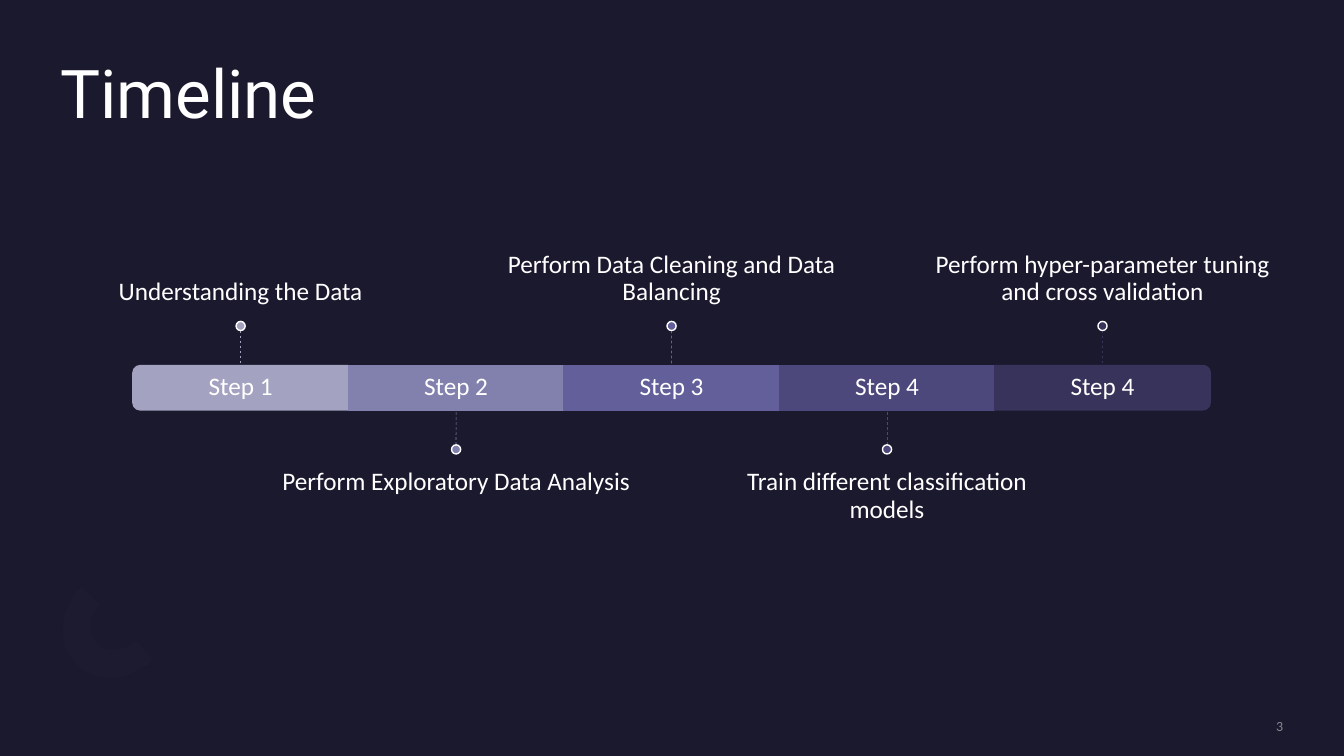
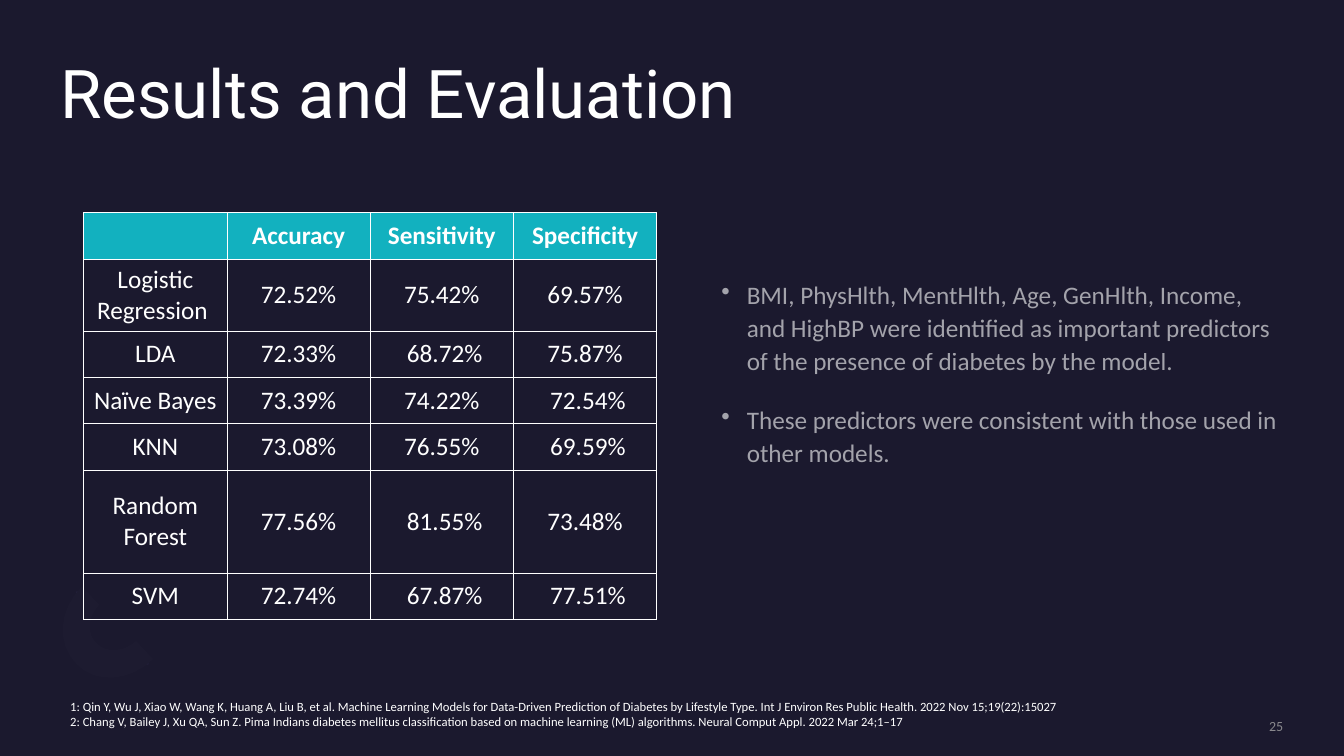
from dataclasses import dataclass
from typing import Any, NamedTuple

from lxml.etree import SubElement
from pptx import Presentation
from pptx.dml.color import RGBColor
from pptx.enum.dml import MSO_LINE
from pptx.enum.shapes import MSO_CONNECTOR, MSO_SHAPE
from pptx.enum.text import MSO_ANCHOR as Anchor, MSO_AUTO_SIZE, PP_ALIGN as Align
from pptx.oxml.ns import qn
from pptx.util import Cm, Pt


@dataclass(frozen=True)
class Theme:
    background: str = "1B192E"
    white: str = "FFFFFF"
    page_number: str = "A6A6A6"
    table_header: str = "12B1BF"
    ellipse: str = "2C284A"
    arc: str = "1D1B30"
    title_font: str = "Roboto"
    body_font: str = "Calibri"
    title_size: float = 48
    body_size: float = 18
    note_size: float = 9
    page_size: float = 10


THEME = Theme()


class Box(NamedTuple):
    """A rectangle in centimetres."""
    left: float
    top: float
    width: float
    height: float

    def lengths(self) -> list[Cm]:
        return [Cm(value) for value in self]


class TextStyle(NamedTuple):
    size: float = THEME.body_size
    font: str = THEME.body_font
    color: str = THEME.white
    opacity: int = 100
    bold: bool = False


class Step(NamedTuple):
    label: str
    caption: str
    color: str


class Row(NamedTuple):
    height: float
    cells: tuple[str, ...]


TITLE_BOX = Box(1.52, 1.52, 30.8, 3.7)
PAGE_BOX = Box(27.64, 18.08, 4.7, 0.43)
NOTE_BOX = Box(1.52, 17.48, 30.48, 1.02)
FINDINGS_BOX = Box(17.93, 6.83, 14.68, 5.6)
ELLIPSES = (Box(3.43, 16.18, 0.15, 0.66), Box(2.08, 14.81, 0.15, 0.66))
# Each side of the arc is a run of cubic curves: start, then two handles and an end per curve.
ARC_OUTER = ((3.86, 16.61), (3.3, 17.17), (2.41, 17.25), (1.93, 16.74),
             (1.42, 16.23), (1.47, 15.37), (2.06, 14.78))
ARC_INNER = ((2.51, 15.24), (2.21, 15.52), (2.18, 15.98), (2.44, 16.21),
             (2.69, 16.46), (3.12, 16.43), (3.43, 16.15))

BAR = Box(3.35, 9.21, 5.43, 1.12)
DOT, STEM = 0.23, 0.88
CAPTION_WIDTH, CAPTION_HEIGHT, CAPTION_GAP = 9.07, 3.86, 0.38
STEPS = (
    Step("Step 1", "Understanding the Data", "A3A3C1"),
    Step("Step 2", "Perform Exploratory Data Analysis", "8281AE"),
    Step("Step 3", "Perform Data Cleaning and Data Balancing", "625F9A"),
    Step("Step 4", "Train different classification models", "4C487B"),
    Step("Step 4", "Perform hyper-parameter tuning and cross validation", "37335B"),
)

TABLE_LEFT, TABLE_TOP, COLUMN_WIDTH = 2.11, 5.36, 3.61
ROWS = (
    Row(1.17, ("", "Accuracy", "Sensitivity", "Specificity")),
    Row(1.81, ("Logistic Regression ", "72.52%", "75.42%", "69.57%")),
    Row(1.17, ("LDA", "72.33%", " 68.72%", "75.87%")),
    Row(1.17, ("Naïve Bayes", "73.39%", "74.22%", " 72.54%")),
    Row(1.17, ("KNN", "73.08%", "76.55%", " 69.59%")),
    Row(2.59, ("Random Forest", "77.56%", " 81.55%", "73.48%")),
    Row(1.17, ("SVM", "72.74%", " 67.87%", " 77.51%")),
)
FINDINGS = (
    "BMI, PhysHlth, MentHlth, Age, GenHlth, Income, and HighBP were identified as "
    "important predictors of the presence of diabetes by the model.",
    "These predictors were consistent with those used in other models.",
)
REFERENCES = (
    "1: Qin Y, Wu J, Xiao W, Wang K, Huang A, Liu B, et al. Machine Learning Models for "
    "Data-Driven Prediction of Diabetes by Lifestyle Type. Int J Environ Res Public Health. "
    "2022 Nov 15;19(22):15027",
    "2: Chang V, Bailey J, Xu QA, Sun Z. Pima Indians diabetes mellitus classification based on "
    "machine learning (ML) algorithms. Neural Comput Appl. 2022 Mar 24;1–17",
)

NO_MARGINS = dict.fromkeys(("margin_left", "margin_top", "margin_right", "margin_bottom"), 0)
CENTERED = {"alignment": Align.CENTER, "line_spacing": 0.9}
BULLETED = {"line_spacing": 1.1, "space_before": Pt(10), "space_after": Pt(8)}


def apply(target: Any, values: dict[str, Any]) -> None:
    for name, value in values.items():
        setattr(target, name, value)


def write(frame: Any, lines: tuple[str, ...], style: TextStyle,
          paragraph_format: dict[str, Any] | None = None) -> None:
    """Fill a text frame with one formatted paragraph per line."""
    for index, line in enumerate(lines):
        paragraph = frame.add_paragraph() if index else frame.paragraphs[0]
        apply(paragraph, paragraph_format or {})
        run = paragraph.add_run()
        run.text = line
        apply(run.font, {"size": Pt(style.size), "name": style.font, "bold": style.bold})
        run.font.color.rgb = RGBColor.from_string(style.color)
        if style.opacity < 100:
            color = run.font._element.find(".//" + qn("a:srgbClr"))
            SubElement(color, qn("a:alpha"), val=str(style.opacity * 1000))


def add_text(slide: Any, box: Box, lines: tuple[str, ...], style: TextStyle = TextStyle(),
             frame_format: dict[str, Any] | None = None,
             paragraph_format: dict[str, Any] | None = None) -> Any:
    shape = slide.shapes.add_textbox(*box.lengths())
    apply(shape.text_frame, {"word_wrap": True, **(frame_format or {})})
    write(shape.text_frame, lines, style, paragraph_format)
    return shape


def paint(shape: Any, fill: str, line: str | None = None) -> None:
    shape.shadow.inherit = False
    shape.fill.solid()
    shape.fill.fore_color.rgb = RGBColor.from_string(fill)
    if line is None:
        shape.line.fill.background()
    else:
        shape.line.color.rgb = RGBColor.from_string(line)
        shape.line.width = Pt(1)


def add_shape(slide: Any, kind: MSO_SHAPE, box: Box, fill: str, line: str | None = None,
              rotation: float = 0) -> Any:
    shape = slide.shapes.add_shape(kind, *box.lengths())
    shape.rotation = rotation
    paint(shape, fill, line)
    return shape


def trace(nodes: tuple[tuple[float, float], ...], pieces: int = 8) -> list[tuple[Cm, Cm]]:
    """Sample points along a run of cubic curves."""
    points = []
    for first in range(0, len(nodes) - 1, 3):
        for piece in range(pieces + 1):
            t = piece / pieces
            weights = ((1 - t) ** 3, 3 * t * (1 - t) ** 2, 3 * t * t * (1 - t), t ** 3)
            curve = nodes[first:first + 4]
            points.append(tuple(Cm(sum(weight * node[axis] for weight, node in zip(weights, curve)))
                                for axis in (0, 1)))
    return points


def add_decoration(slide: Any) -> None:
    for box in ELLIPSES:
        add_shape(slide, MSO_SHAPE.OVAL, box, THEME.ellipse, rotation=135)
    start, *rest = trace(ARC_OUTER) + trace(ARC_INNER)
    builder = slide.shapes.build_freeform(*start)
    builder.add_line_segments(rest, close=True)
    paint(builder.convert_to_shape(), THEME.arc)


def add_slide(presentation: Any, title: str, number: str) -> Any:
    """Add a slide with the shared title, decoration and page number."""
    slide = presentation.slides.add_slide(presentation.slide_layouts[5])
    heading = slide.shapes.title
    apply(heading, dict(zip(("left", "top", "width", "height"), TITLE_BOX.lengths())))
    apply(heading.text_frame, {**NO_MARGINS, "vertical_anchor": Anchor.TOP, "word_wrap": True,
                               "auto_size": MSO_AUTO_SIZE.NONE})
    write(heading.text_frame, (title,), TextStyle(THEME.title_size, THEME.title_font),
          {"alignment": Align.LEFT, "line_spacing": 0.9})
    add_decoration(slide)
    add_text(slide, PAGE_BOX, (number,),
             TextStyle(THEME.page_size, color=THEME.page_number, opacity=80),
             {**NO_MARGINS, "vertical_anchor": Anchor.MIDDLE}, {"alignment": Align.RIGHT})
    return slide


def add_segment(slide: Any, box: Box, color: str, rotation: float | None) -> None:
    """Draw a bar piece; a rotation makes it an end cap with two round corners."""
    if rotation is None:
        add_shape(slide, MSO_SHAPE.RECTANGLE, box, color, color)
        return
    upright = Box(box.left + (box.width - box.height) / 2, box.top - (box.width - box.height) / 2,
                  box.height, box.width)
    add_shape(slide, MSO_SHAPE.ROUND_2_SAME_RECTANGLE, upright, color, color, rotation)


def add_step(slide: Any, index: int, step: Step) -> None:
    box = BAR._replace(left=BAR.left + index * BAR.width)
    center, bottom = box.left + box.width / 2, box.top + box.height
    above = index % 2 == 0
    add_segment(slide, box, step.color, {0: 270, len(STEPS) - 1: 90}.get(index))
    label = add_text(slide, box, (step.label,), paragraph_format=CENTERED,
                     frame_format={**NO_MARGINS, "vertical_anchor": Anchor.MIDDLE})

    if above:
        stem_end = box.top - STEM
        dot_top = stem_end - DOT
        caption_top = dot_top - CAPTION_HEIGHT
        caption_format = {"vertical_anchor": Anchor.BOTTOM, "margin_bottom": Cm(CAPTION_GAP)}
    else:
        stem_end = dot_top = bottom + STEM
        caption_top = dot_top + DOT
        caption_format = {"vertical_anchor": Anchor.TOP, "margin_top": Cm(CAPTION_GAP)}

    caption_box = Box(center - CAPTION_WIDTH / 2, caption_top, CAPTION_WIDTH, CAPTION_HEIGHT)
    add_text(slide, caption_box, (step.caption,), paragraph_format=CENTERED,
             frame_format={**NO_MARGINS, **caption_format})
    stem = slide.shapes.add_connector(MSO_CONNECTOR.STRAIGHT, Cm(center), Cm(stem_end),
                                      Cm(center), Cm(box.top if above else bottom))
    stem.end_connect(label, 0 if above else 2)
    stem.line.color.rgb = RGBColor.from_string(step.color)
    apply(stem.line, {"width": Pt(0.5), "dash_style": MSO_LINE.DASH})
    SubElement(stem._element.spPr, qn("a:effectLst"))
    add_shape(slide, MSO_SHAPE.OVAL, Box(center - DOT / 2, dot_top, DOT, DOT),
              step.color, THEME.white)


def add_borders(cell: Any) -> None:
    properties = cell._tc.get_or_add_tcPr()
    for position, side in enumerate(("lnL", "lnR", "lnT", "lnB")):
        line = SubElement(properties, qn(f"a:{side}"), w=str(Pt(0.75)))
        SubElement(SubElement(line, qn("a:solidFill")), qn("a:srgbClr"), val=THEME.white)
        properties.insert(position, line)


def add_results_table(slide: Any) -> None:
    columns = len(ROWS[0].cells)
    box = Box(TABLE_LEFT, TABLE_TOP, columns * COLUMN_WIDTH, sum(row.height for row in ROWS))
    table = slide.shapes.add_table(len(ROWS), columns, *box.lengths()).table
    table.horz_banding = False
    for column in table.columns:
        column.width = Cm(COLUMN_WIDTH)
    for index, row in enumerate(ROWS):
        table.rows[index].height = Cm(row.height)
        for cell, text in zip(table.rows[index].cells, row.cells):
            cell.vertical_anchor = Anchor.MIDDLE
            if index == 0:
                cell.fill.solid()
                cell.fill.fore_color.rgb = RGBColor.from_string(THEME.table_header)
            else:
                cell.fill.background()
            add_borders(cell)
            if text:
                write(cell.text_frame, (text,), TextStyle(bold=index == 0),
                      {"alignment": Align.CENTER})


def add_findings(slide: Any) -> None:
    shape = add_text(slide, FINDINGS_BOX, FINDINGS, TextStyle(opacity=60),
                     paragraph_format=BULLETED)
    indent = Cm(0.64)
    for paragraph in shape.text_frame.paragraphs:
        properties = paragraph._p.get_or_add_pPr()
        properties.set("marL", str(indent))
        properties.set("indent", str(-indent))
        SubElement(properties, qn("a:buChar"), char="•")


def main() -> None:
    presentation = Presentation()
    apply(presentation, {"slide_width": Cm(33.87), "slide_height": Cm(19.05)})
    background = presentation.slide_master.background.fill
    background.solid()
    background.fore_color.rgb = RGBColor.from_string(THEME.background)

    timeline = add_slide(presentation, "Timeline", "3")
    for index, step in enumerate(STEPS):
        add_step(timeline, index, step)

    results = add_slide(presentation, "Results and Evaluation", "25")
    add_results_table(results)
    add_text(results, NOTE_BOX, REFERENCES, TextStyle(THEME.note_size))
    add_findings(results)
    presentation.save("out.pptx")


if __name__ == "__main__":
    main()
